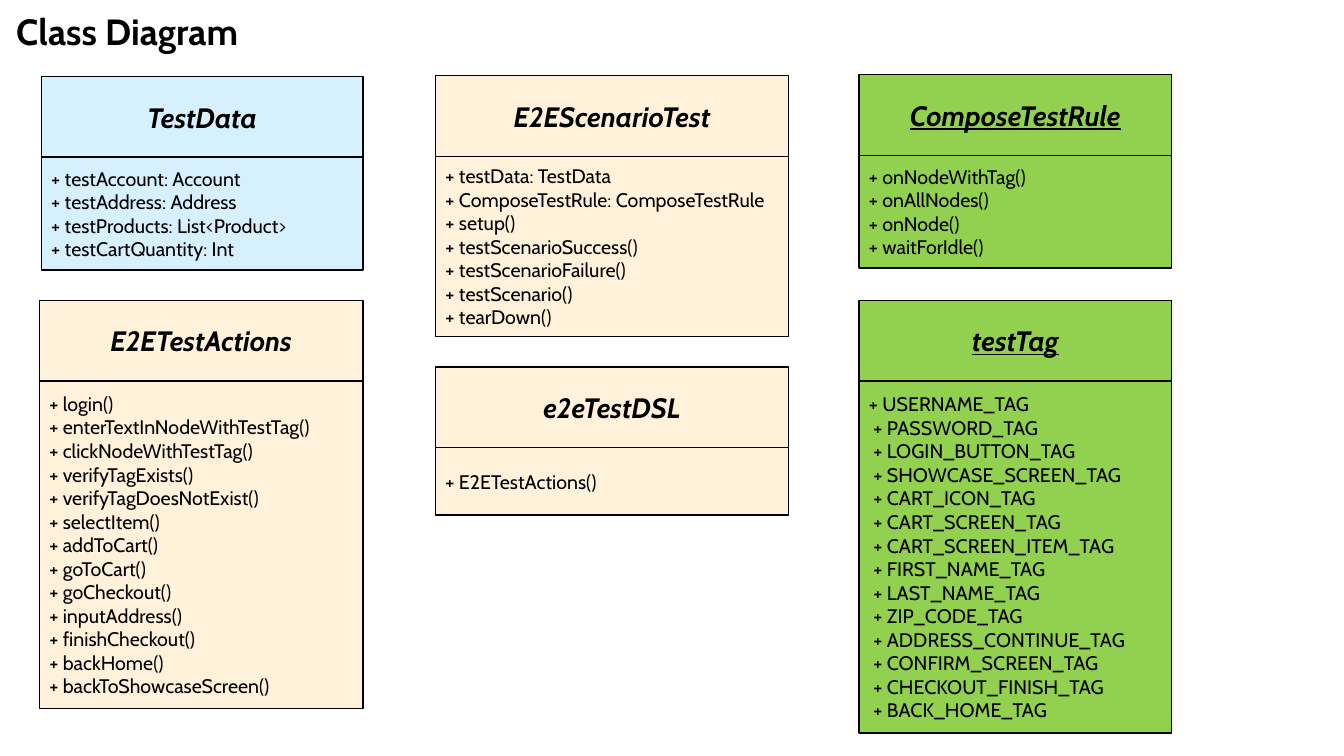
"""Build a class diagram slide for an end-to-end test suite."""
from dataclasses import dataclass

from pptx import Presentation
from pptx import util as u
from pptx.dml.color import RGBColor
from pptx.enum import shapes, text
from pptx.shapes.autoshape import Shape
from pptx.slide import Slide
from pptx.text.text import TextFrame


@dataclass(frozen=True)
class Theme:
    font: str = "Cabin"
    ink: RGBColor = RGBColor(0, 0, 0)
    data: RGBColor = RGBColor(0xD7, 0xF0, 0xFD)
    scenario: RGBColor = RGBColor(0xFF, 0xF1, 0xDA)
    framework: RGBColor = RGBColor(0x92, 0xD0, 0x50)
    title_size: int = 26
    name_size: int = 20
    member_size: int = 14
    border: int = 1


@dataclass(frozen=True)
class ClassBox:
    name: str
    left: float
    top: float
    width: float
    members_height: float
    fill: RGBColor
    members: tuple[str, ...]
    underline: bool = False
    later_prefix: str = "+ "


THEME = Theme()
NAME_HEIGHT = 0.8

CLASSES = (
    ClassBox("TestData", 0.41, 0.76, 3.19, 1.12, THEME.data, (
        "testAccount: Account", "testAddress: Address",
        "testProducts: List<Product>", "testCartQuantity: Int")),
    ClassBox("E2ETestActions", 0.39, 2.98, 3.21, 3.25, THEME.scenario, (
        "login()", "enterTextInNodeWithTestTag()", "clickNodeWithTestTag()",
        "verifyTagExists()", "verifyTagDoesNotExist()", "selectItem()",
        "addToCart()", "goToCart()", "goCheckout()", "inputAddress()",
        "finishCheckout()", "backHome()", "backToShowcaseScreen()")),
    ClassBox("E2EScenarioTest", 4.32, 0.75, 3.5, 1.79, THEME.scenario, (
        "testData: TestData", "ComposeTestRule: ComposeTestRule", "setup()",
        "testScenarioSuccess()", "testScenarioFailure()", "testScenario()",
        "tearDown()")),
    ClassBox("e2eTestDSL", 4.32, 3.64, 3.5, 0.67, THEME.scenario, (
        "E2ETestActions()",)),
    ClassBox("ComposeTestRule", 8.52, 0.74, 3.1, 1.12, THEME.framework, (
        "onNodeWithTag()", "onAllNodes()", "onNode()", "waitForIdle()"),
        underline=True),
    ClassBox("testTag", 8.52, 2.98, 3.1, 3.49, THEME.framework, (
        "USERNAME_TAG", "PASSWORD_TAG", "LOGIN_BUTTON_TAG",
        "SHOWCASE_SCREEN_TAG", "CART_ICON_TAG", "CART_SCREEN_TAG",
        "CART_SCREEN_ITEM_TAG", "FIRST_NAME_TAG", "LAST_NAME_TAG",
        "ZIP_CODE_TAG", "ADDRESS_CONTINUE_TAG", "CONFIRM_SCREEN_TAG",
        "CHECKOUT_FINISH_TAG", "BACK_HOME_TAG"),
        underline=True, later_prefix=" + "),
)


def write_lines(frame: TextFrame, lines: list[str], size: int,
                align: text.PP_ALIGN = text.PP_ALIGN.LEFT, bold: bool = False,
                italic: bool = False, underline: bool = False) -> None:
    """Write one paragraph per line in the theme font."""
    frame.word_wrap = True
    frame.auto_size = text.MSO_AUTO_SIZE.NONE
    frame.vertical_anchor = text.MSO_ANCHOR.MIDDLE
    for index, line in enumerate(lines):
        paragraph = frame.add_paragraph() if index else frame.paragraphs[0]
        paragraph.alignment = align
        run = paragraph.add_run()
        run.text = line
        run.font.name = THEME.font
        run.font.size = u.Pt(size)
        run.font.color.rgb = THEME.ink
        run.font.bold = bold
        run.font.italic = italic
        run.font.underline = underline


def add_compartment(slide: Slide, box: ClassBox, top: float,
                    height: float) -> Shape:
    """Add one bordered compartment of a class box."""
    compartment = slide.shapes.add_shape(
        shapes.MSO_SHAPE.FLOWCHART_PROCESS, u.Inches(box.left), u.Inches(top),
        u.Inches(box.width), u.Inches(height))
    compartment.shadow.inherit = False
    compartment.fill.solid()
    compartment.fill.fore_color.rgb = box.fill
    compartment.line.color.rgb = THEME.ink
    compartment.line.width = u.Pt(THEME.border)
    return compartment


def add_class(slide: Slide, box: ClassBox) -> None:
    """Add the name and member compartments of a class."""
    name = add_compartment(slide, box, box.top, NAME_HEIGHT)
    write_lines(name.text_frame, [box.name], THEME.name_size,
                text.PP_ALIGN.CENTER, bold=True, italic=True,
                underline=box.underline)
    members = add_compartment(slide, box, box.top + NAME_HEIGHT,
                              box.members_height)
    first, *later = box.members
    lines = [f"+ {first}", *(box.later_prefix + member for member in later)]
    write_lines(members.text_frame, lines, THEME.member_size)


def add_title(slide: Slide) -> None:
    """Place and format the slide title."""
    title = slide.shapes.title
    title.left, title.top = u.Inches(0), u.Inches(0.01)
    title.width, title.height = u.Inches(12.6), u.Inches(0.59)
    frame = title.text_frame
    frame.margin_left = frame.margin_right = u.Inches(0.08)
    frame.margin_top = frame.margin_bottom = u.Inches(0.08)
    write_lines(frame, [" Class Diagram"], THEME.title_size, bold=True)


def main() -> None:
    """Build and save the presentation."""
    deck = Presentation()
    deck.slide_width, deck.slide_height = u.Inches(13.33), u.Inches(7.5)
    slide = deck.slides.add_slide(deck.slide_layouts[5])
    add_title(slide)
    for box in CLASSES:
        add_class(slide, box)
    deck.save("out.pptx")


if __name__ == "__main__":
    main()
